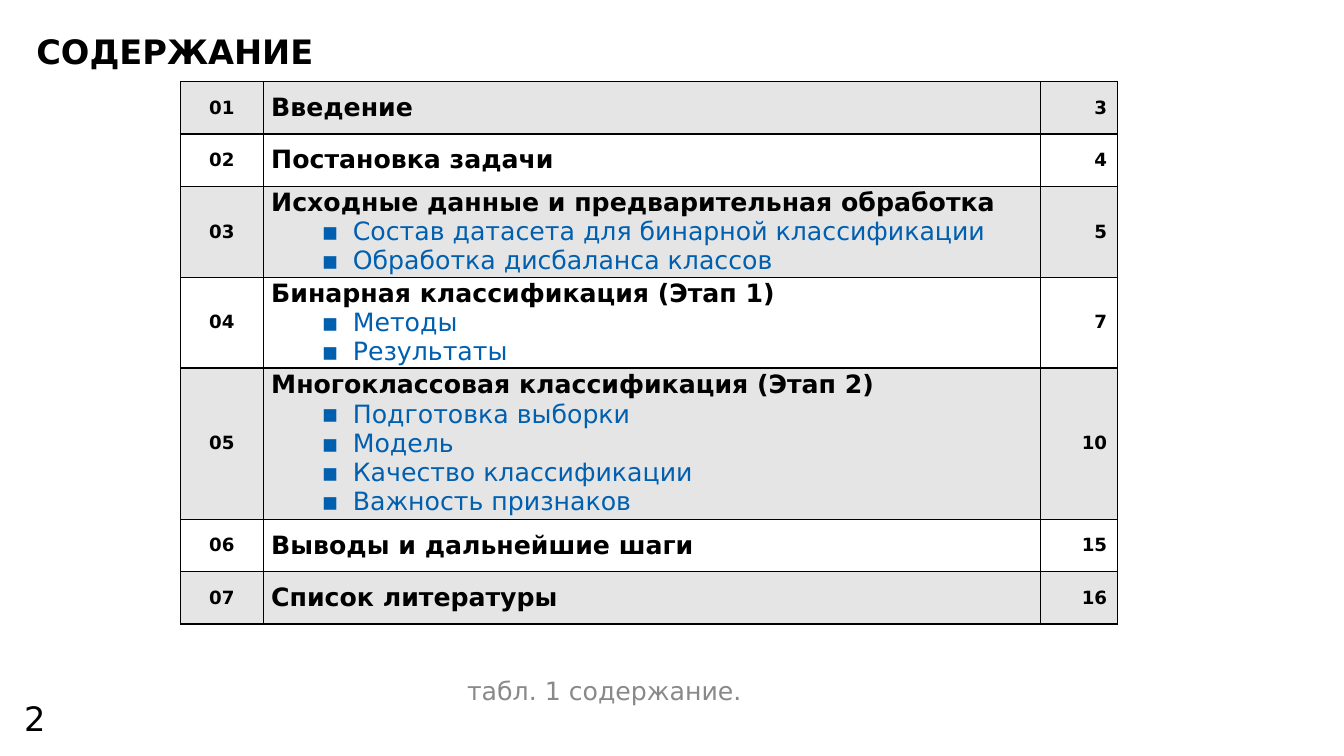
from lxml import etree
from pptx import Presentation
from pptx.dml.color import RGBColor
from pptx.enum.text import MSO_ANCHOR as ANCHOR, PP_ALIGN as ALIGN
from pptx.oxml.ns import qn
from pptx.util import Inches, Pt

COLORS = {"text": "000000", "link": "005FAF", "caption": "898989",
          "band": "E5E5E5", "plain": "FFFFFF", "border": "000000"}
FONT = "DejaVu Sans"

CONTENTS = [
    ("Введение", [], "3"),
    ("Постановка задачи", [], "4"),
    ("Исходные данные и предварительная обработка",
     ["Состав датасета для бинарной классификации", "Обработка дисбаланса классов"], "5"),
    ("Бинарная классификация (Этап 1)", ["Методы", "Результаты"], "7"),
    ("Многоклассовая классификация (Этап 2)",
     ["Подготовка выборки", "Модель", "Качество классификации", "Важность признаков"], "10"),
    ("Выводы и дальнейшие шаги", [], "15"),
    ("Список литературы", [], "16"),
]
COLUMNS = [0.82, 7.71, 0.76]
ROW_HEIGHT, LINE_HEIGHT = 0.52, 0.3
TABLE_AT = (1.79, 0.81)

TEXTS = [
    {"text": "СОДЕРЖАНИЕ", "at": (0.36, 0.34, 10.48, 0.37), "bottom": 0,
     "anchor": ANCHOR.MIDDLE, "font": {"size": Pt(24), "bold": True}, "color": "text",
     "format": {"line_spacing": Pt(26)}},
    {"text": "2", "at": (0.24, 7, 13.11, 0.5), "bottom": 0.04,
     "anchor": ANCHOR.TOP, "font": {"size": Pt(24)}, "color": "text",
     "format": {"line_spacing": 0.8}},
    {"text": "табл. 1 содержание.", "at": (3.66, 6.76, 4.67, 0.4), "bottom": 0.04,
     "anchor": ANCHOR.TOP, "font": {"size": Pt(18)}, "color": "caption",
     "format": {"line_spacing": 0.8, "alignment": ALIGN.CENTER}},
]

NUMBER = {"size": Pt(13), "bold": True}
HEADING = {"size": Pt(18), "bold": True}
SUBITEM = {"size": Pt(18), "bold": False}


def set_all(obj, values):
    """Set each attribute of an object from a dict."""
    for name, value in values.items():
        setattr(obj, name, value)


def write(p, text, font, color="text"):
    """Add a formatted run to a paragraph."""
    r = p.add_run()
    r.text = text
    set_all(r.font, {"name": FONT, **font})
    r.font.color.rgb = RGBColor.from_string(COLORS[color])


def add_text(s, item):
    """Add a text box to the slide."""
    tf = s.shapes.add_textbox(*map(Inches, item["at"])).text_frame
    set_all(tf, {"word_wrap": True, "vertical_anchor": item["anchor"],
                 "margin_left": 0, "margin_right": 0, "margin_top": 0,
                 "margin_bottom": Inches(item["bottom"])})
    p = tf.paragraphs[0]
    set_all(p, item["format"])
    write(p, item["text"], item["font"], item["color"])


def style_cell(cell, fill, margins):
    """Set the fill, margins and borders of a cell."""
    cell.vertical_anchor = ANCHOR.MIDDLE
    sides = ("margin_left", "margin_right", "margin_top", "margin_bottom")
    set_all(cell, dict(zip(sides, map(Inches, margins))))
    cell.fill.solid()
    cell.fill.fore_color.rgb = RGBColor.from_string(COLORS[fill])
    tcPr = cell._tc.get_or_add_tcPr()
    for i, side in enumerate("LRTB"):
        ln = etree.Element(qn(f"a:ln{side}"), w=str(Pt(1)))
        color = etree.SubElement(etree.SubElement(ln, qn("a:solidFill")), qn("a:srgbClr"))
        color.set("val", COLORS["border"])
        tcPr.insert(i, ln)


def add_subitem(tf, text):
    """Add an indented bullet paragraph."""
    p = tf.add_paragraph()
    p.level = 1
    pPr = p._p.get_or_add_pPr()
    pPr.set("marL", str(Inches(0.81)))
    pPr.set("indent", str(Inches(-0.31)))
    etree.SubElement(pPr, qn("a:buFont")).set("typeface", FONT)
    etree.SubElement(pPr, qn("a:buChar")).set("char", "▪")
    write(p, text, SUBITEM, "link")


def add_contents(s):
    """Add the table of contents."""
    heights = [LINE_HEIGHT * (1 + len(subitems)) if subitems else ROW_HEIGHT
               for _, subitems, _ in CONTENTS]
    size = (sum(COLUMNS), sum(heights))
    table = s.shapes.add_table(len(CONTENTS), len(COLUMNS),
                               *map(Inches, TABLE_AT + size)).table
    table.first_row = table.horz_banding = False
    for column, width in zip(table.columns, COLUMNS):
        column.width = Inches(width)
    for i, (heading, subitems, page) in enumerate(CONTENTS):
        table.rows[i].height = Inches(heights[i])
        cells = [
            (f"{i + 1:02}", NUMBER, ALIGN.CENTER, (0, 0, 0, 0)),
            (heading, HEADING, ALIGN.LEFT, (0.08, 0, 0, 0)),
            (page, NUMBER, ALIGN.RIGHT, (0.1, 0.1, 0.05, 0.05)),
        ]
        for j, (text, font, align, margins) in enumerate(cells):
            cell = table.cell(i, j)
            style_cell(cell, "plain" if i % 2 else "band", margins)
            p = cell.text_frame.paragraphs[0]
            p.alignment = align
            write(p, text, font)
        for subitem in subitems:
            add_subitem(table.cell(i, 1).text_frame, subitem)


def main():
    """Build the contents slide."""
    prs = Presentation()
    prs.slide_width, prs.slide_height = Inches(13.33), Inches(7.5)
    s = prs.slides.add_slide(prs.slide_layouts[6])
    title, *footers = TEXTS
    add_text(s, title)
    add_contents(s)
    for footer in footers:
        add_text(s, footer)
    prs.save("out.pptx")


if __name__ == "__main__":
    main()
